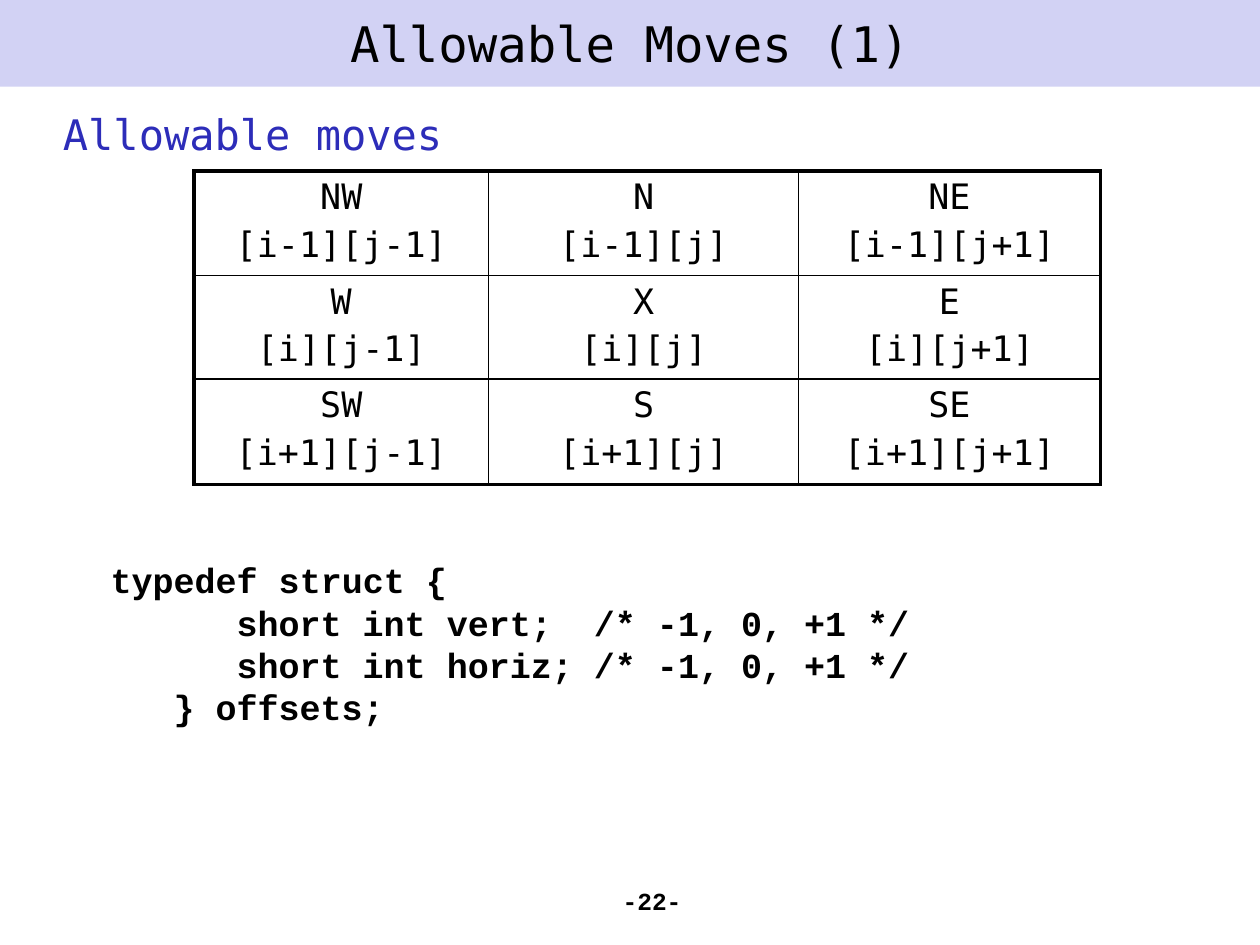
from lxml import etree
from pptx import Presentation
from pptx.dml.color import RGBColor
from pptx.enum.shapes import MSO_SHAPE
from pptx.enum.text import MSO_ANCHOR, PP_ALIGN
from pptx.oxml.ns import qn
from pptx.util import Cm, Pt

RECT = MSO_SHAPE.RECTANGLE
MIDDLE = MSO_ANCHOR.MIDDLE
LEFT, CENTER, RIGHT = PP_ALIGN.LEFT, PP_ALIGN.CENTER, PP_ALIGN.RIGHT
SANS, MONO = "DejaVu Sans Mono", "Courier New"
BLACK, BLUE, LILAC = "000000", "2D2DB9", "D2D2F4"
THICK, THIN = Pt(2.25), Pt(1)

MOVES = [
    ["NW\n[i-1][j-1]", "N\n[i-1][j]", "NE\n[i-1][j+1]"],
    ["W\n[i][j-1]", "X\n[i][j]", "E\n[i][j+1]"],
    ["SW\n[i+1][j-1]", "S\n[i+1][j]", "SE\n[i+1][j+1]"],
]
WIDTHS = [5.94, 6.25, 6.08]
HEIGHTS = [2.1, 1.92, 2.13]
CODE = [  # indent in characters, text
    (0, "typedef struct {"),
    (6, "short int vert;  /* -1, 0, +1 */"),
    (6, "short int horiz; /* -1, 0, +1 */"),
    (3, "} offsets;"),
]


def color(code):
    return RGBColor.from_string(code)


def style(frame, font, size, tint=BLACK, align=LEFT, bold=False, before=0):
    for para in frame.paragraphs:
        para.alignment = align
        para.space_before = Pt(before)
        for run in para.runs:
            run.font.name = font
            run.font.size = Pt(size)
            run.font.bold = bold
            run.font.color.rgb = color(tint)


def add_text(slide, box, text):
    frame = slide.shapes.add_textbox(*map(Cm, box)).text_frame
    frame.word_wrap = True
    frame.text = text
    return frame


def add_title(slide, box, text):
    bar = slide.shapes.add_shape(RECT, *map(Cm, box))
    bar.shadow.inherit = False
    bar.fill.solid()
    bar.fill.fore_color.rgb = color(LILAC)
    bar.line.fill.background()
    bar.text_frame.text = text
    bar.text_frame.vertical_anchor = MIDDLE
    style(bar.text_frame, SANS, 28, align=CENTER)


def add_borders(cell, widths):
    """Draw the left, right, top and bottom lines, in that order."""
    props = cell._tc.get_or_add_tcPr()
    for spot, (side, width) in enumerate(zip("LRTB", widths)):
        line = etree.Element(qn(f"a:ln{side}"), w=str(int(width)))
        fill = etree.SubElement(line, qn("a:solidFill"))
        etree.SubElement(fill, qn("a:srgbClr"), val=BLACK)
        props.insert(spot, line)


def add_moves(slide, left, top):
    rows, cols = len(HEIGHTS), len(WIDTHS)
    size = sum(WIDTHS), sum(HEIGHTS)
    table = slide.shapes.add_table(rows, cols, *map(Cm, (left, top, *size))).table
    table.first_row = table.horz_banding = False
    for col, width in zip(table.columns, WIDTHS):
        col.width = Cm(width)
    for r, height in enumerate(HEIGHTS):
        table.rows[r].height = Cm(height)
        for c in range(cols):
            cell = table.cell(r, c)
            cell.text_frame.text = MOVES[r][c]
            style(cell.text_frame, SANS, 20, align=CENTER, before=4)
            cell.fill.background()
            outer = (c == 0, c == cols - 1, r == 0, r == rows - 1)
            add_borders(cell, [THICK if edge else THIN for edge in outer])


def add_code(slide, box):
    frame = add_text(slide, box, "\n".join(text for _, text in CODE))
    style(frame, MONO, 20, bold=True)
    for para, (indent, _) in zip(frame.paragraphs, CODE):
        para.line_spacing = Pt(24.2)
        margin = Cm(1.27) + indent * Pt(12)
        para._p.get_or_add_pPr().set("marL", str(int(margin)))


def main():
    deck = Presentation()
    deck.slide_width, deck.slide_height = Cm(25.4), Cm(19.05)
    slide = deck.slides.add_slide(deck.slide_layouts[6])
    add_title(slide, (0, 0, 25.4, 1.75), "Allowable Moves (1)")
    head = add_text(slide, (1.02, 2.06, 23.44, 1.3), "Allowable moves")
    style(head, SANS, 24, BLUE, before=5)
    page = add_text(slide, (8.71, 17.73, 5.28, 0.79), "-22-")
    style(page, MONO, 14, align=RIGHT, bold=True)
    add_moves(slide, 3.91, 3.45)
    add_code(slide, (0.71, 11.13, 20.4, 4.52))
    deck.save("out.pptx")


if __name__ == "__main__":
    main()
